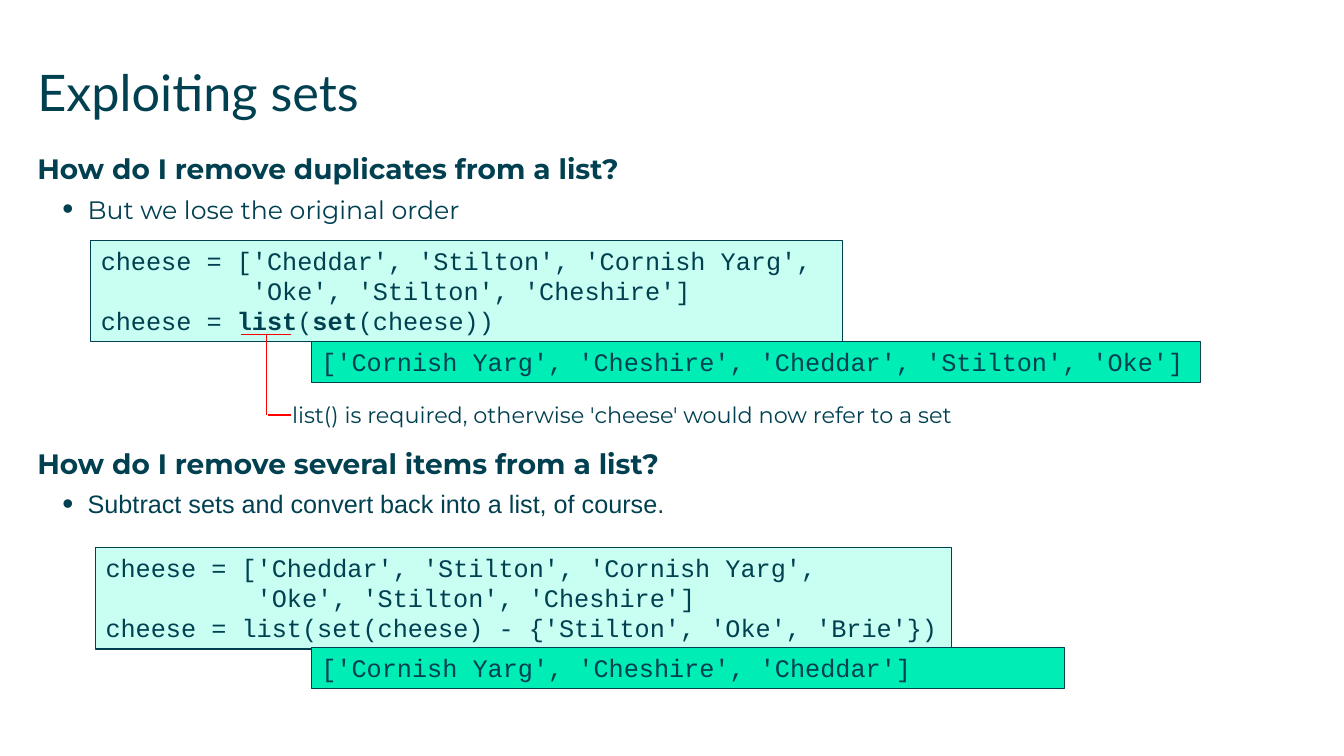
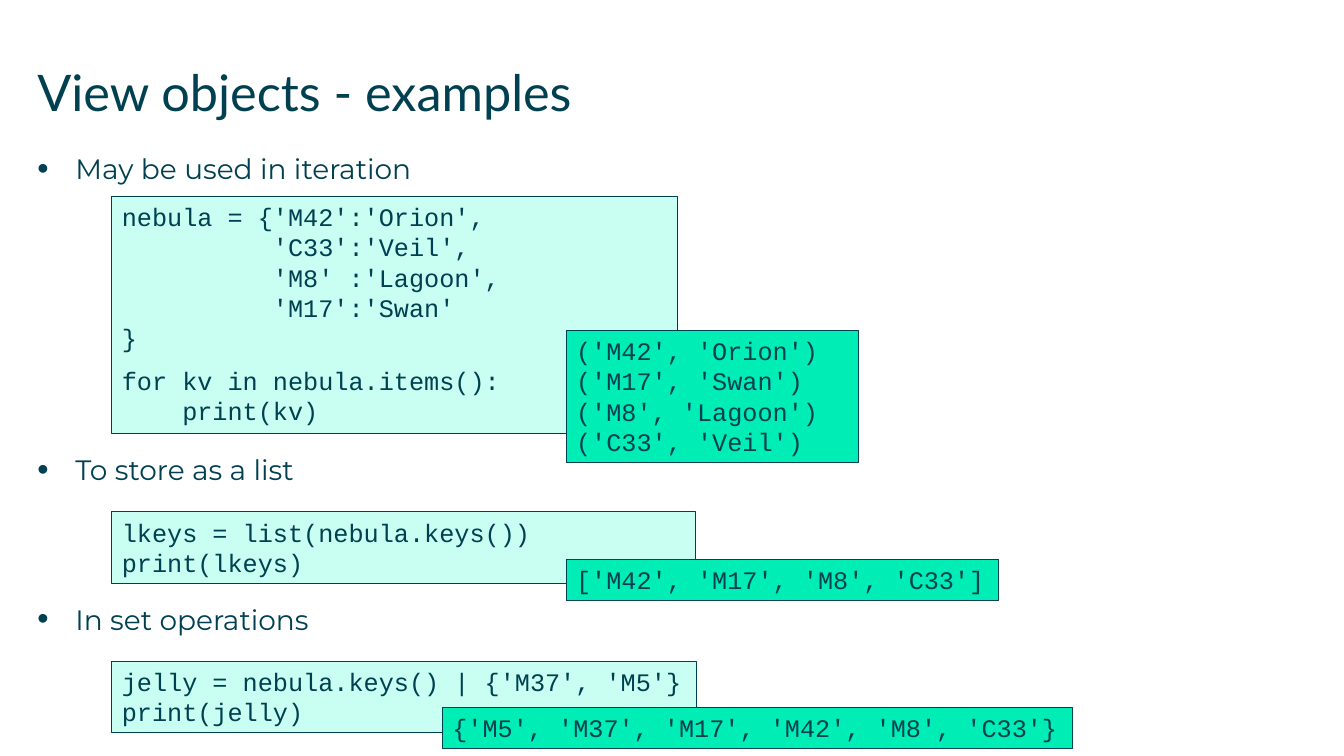
from dataclasses import dataclass
from lxml.etree import SubElement as Sub
from pptx import Presentation
from pptx.dml.color import RGBColor as RGB
from pptx.enum.shapes import MSO_CONNECTOR as Link, MSO_SHAPE as Shape
from pptx.enum.text import MSO_ANCHOR as Anchor, MSO_AUTO_SIZE as Fit, PP_ALIGN as Align
from pptx.oxml.ns import qn
from pptx.util import Cm, Pt


@dataclass(frozen=True)
class Theme:
    ink: RGB = RGB(0x00, 0x40, 0x50)
    mint: RGB = RGB(0xC8, 0xFF, 0xF2)
    green: RGB = RGB(0x00, 0xED, 0xB5)
    red: RGB = RGB(0xFF, 0x00, 0x00)
    head: str = "Lato"
    body: str = "Montserrat"
    plain: str = "Arial"
    mono: str = "Courier New"
    title: int = 36
    text: int = 20
    sub: int = 18
    code: int = 18
    note: int = 16


class Deck:
    """Hold the theme and the current slide, and add each kind of element."""

    def __init__(self, theme):
        self.theme = theme
        self.prs = Presentation()
        self.prs.slide_width, self.prs.slide_height = Cm(33.87), Cm(19.05)

    def page(self, title):
        self.slide = self.prs.slides.add_slide(self.prs.slide_layouts[1])
        hold = self.slide.shapes.title
        frame = self.place(hold, 0.94, 1.55, 32, 2.24)
        frame.text = title
        para = frame.paragraphs[0]
        para.alignment = Align.LEFT
        self.style(para, self.theme.head, self.theme.title)

    def place(self, hold, left, top, width, height):
        hold.left, hold.top = Cm(left), Cm(top)
        hold.width, hold.height = Cm(width), Cm(height)
        frame = self.frame(hold)
        frame.margin_left = frame.margin_right = 0
        frame.margin_top = frame.margin_bottom = 0
        return frame

    def frame(self, shape):
        frame = shape.text_frame
        frame.word_wrap = True
        frame.auto_size = Fit.NONE
        frame.vertical_anchor = Anchor.TOP
        return frame

    def style(self, para, face, size, bold=False):
        for run in para.runs:
            font = run.font
            font.name, font.size, font.bold = face, Pt(size), bold
            font.color.rgb = self.theme.ink

    def indent(self, para, left, hang=0):
        props = para._p.get_or_add_pPr()
        props.set("marL", str(int(left)))
        props.set("indent", str(-int(hang)))
        return props

    def bullet(self, para, left, hang, scale):
        props = self.indent(para, Cm(left), Cm(hang))
        Sub(props, qn("a:buSzPct"), val=str(scale * 1000))
        Sub(props, qn("a:buFont"), typeface=self.theme.plain)
        Sub(props, qn("a:buChar"), char="•")

    def body(self, items):
        frame = self.place(self.slide.placeholders[1], 0.94, 3.81, 31.98, 13.77)
        frame.text = "\n".join(text for _, text, _ in items)
        for para, (kind, _, gap) in zip(frame.paragraphs, items):
            para.space_before, para.space_after = Pt(gap), Pt(6.5)
            para.line_spacing = 1.0
            face, size = self.theme.body, self.theme.text
            if kind == "head":
                Sub(self.indent(para, 0), qn("a:buNone"))
            elif kind == "point":
                self.bullet(para, 0.96, 0.96, 115)
            else:
                para.level = 1
                self.bullet(para, 1.27, 0.64, 125)
                size = self.theme.sub
                face = self.theme.plain if kind == "plain" else face
            self.style(para, face, size, kind == "head")

    def box(self, left, top, width, lines, fill, gaps):
        height = 0.27 + 0.765 * len(lines) + sum(gaps.values()) * 0.04
        shape = self.slide.shapes.add_shape(
            Shape.RECTANGLE, Cm(left), Cm(top), Cm(width), Cm(height))
        shape.shadow.inherit = False
        shape.fill.solid()
        shape.fill.fore_color.rgb = fill
        shape.line.color.rgb = self.theme.ink
        shape.line.width = Pt(0.75)
        frame = self.frame(shape)
        frame.text = "\n" * (len(lines) - 1)
        for row, (para, line) in enumerate(zip(frame.paragraphs, lines)):
            code = line.lstrip()
            step = Pt(self.theme.code * 0.6)
            self.indent(para, (len(line) - len(code)) * step)
            para.alignment = Align.LEFT
            para.space_before = Pt(gaps.get(row, 0))
            parts = code.split("*")
            for part in parts:
                para.add_run().text = part
            self.style(para, self.theme.mono, self.theme.code)
            for run in para.runs[1::2]:
                run.font.bold = True

    def code(self, left, top, width, *lines, gaps={}):
        self.box(left, top, width, lines, self.theme.mint, gaps)

    def out(self, left, top, width, *lines):
        self.box(left, top, width, lines, self.theme.green, {})

    def note(self, left, top, width, text):
        shape = self.slide.shapes.add_textbox(Cm(left), Cm(top), Cm(width), Cm(0.94))
        frame = self.frame(shape)
        frame.text = text
        self.style(frame.paragraphs[0], self.theme.body, self.theme.note)

    def line(self, *ends):
        link = self.slide.shapes.add_connector(Link.STRAIGHT, *map(Cm, ends))
        link.line.color.rgb = self.theme.red
        link.line.width = Pt(1)
        Sub(link._element.spPr, qn("a:effectLst"))


def sets(deck):
    deck.page("Exploiting sets")
    deck.body([
        ("head", "How do I remove duplicates from a list?", 0),
        ("sub", "But we lose the original order", 0),
        ("head", "How do I remove several items from a list?", 152),
        ("plain", "Subtract sets and convert back into a list, of course.", 0),
    ])
    start = ("cheese = ['Cheddar', 'Stilton', 'Cornish Yarg',",
             "          'Oke', 'Stilton', 'Cheshire']")
    deck.code(2.29, 6.05, 18.95, *start, "cheese = *list*(*set*(cheese))")
    deck.out(7.85, 8.61, 22.4,
             "['Cornish Yarg', 'Cheshire', 'Cheddar', 'Stilton', 'Oke']")
    deck.code(2.41, 13.79, 21.56, *start,
              "cheese = list(set(cheese) - {'Stilton', 'Oke', 'Brie'})")
    deck.note(7.11, 9.98, 17.42,
              "list() is required, otherwise 'cheese' would now refer to a set")
    deck.out(7.85, 16.31, 18.97, "['Cornish Yarg', 'Cheshire', 'Cheddar']")
    deck.line(6.07, 8.43, 7.34, 8.43)
    deck.line(6.71, 8.43, 6.71, 10.46)
    deck.line(6.76, 10.46, 7.34, 10.46)


def views(deck):
    deck.page("View objects - examples")
    deck.body([
        ("point", "May be used in iteration", 0),
        ("point", "To store as a list", 185),
        ("point", "In set operations", 76),
    ])
    deck.code(2.82, 4.95, 14.25,
              "nebula = {'M42':'Orion',",
              "          'C33':'Veil',",
              "          'M8' :'Lagoon',",
              "          'M17':'Swan'",
              "}",
              "for kv in nebula.items():",
              "    print(kv)", gaps={5: 9})
    deck.out(14.27, 8.33, 7.37, "('M42', 'Orion')", "('M17', 'Swan')",
             "('M8', 'Lagoon')", "('C33', 'Veil')")
    deck.code(2.82, 12.9, 14.71, "lkeys = list(nebula.keys())", "print(lkeys)")
    deck.code(2.82, 16.66, 14.73, "jelly = nebula.keys() | {'M37', 'M5'}",
              "print(jelly)")
    deck.out(14.27, 14.1, 10.9, "['M42', 'M17', 'M8', 'C33']")
    deck.out(11.15, 17.83, 15.88, "{'M5', 'M37', 'M17', 'M42', 'M8', 'C33'}")


def main():
    deck = Deck(Theme())
    sets(deck)
    views(deck)
    deck.prs.save("out.pptx")


if __name__ == "__main__":
    main()
